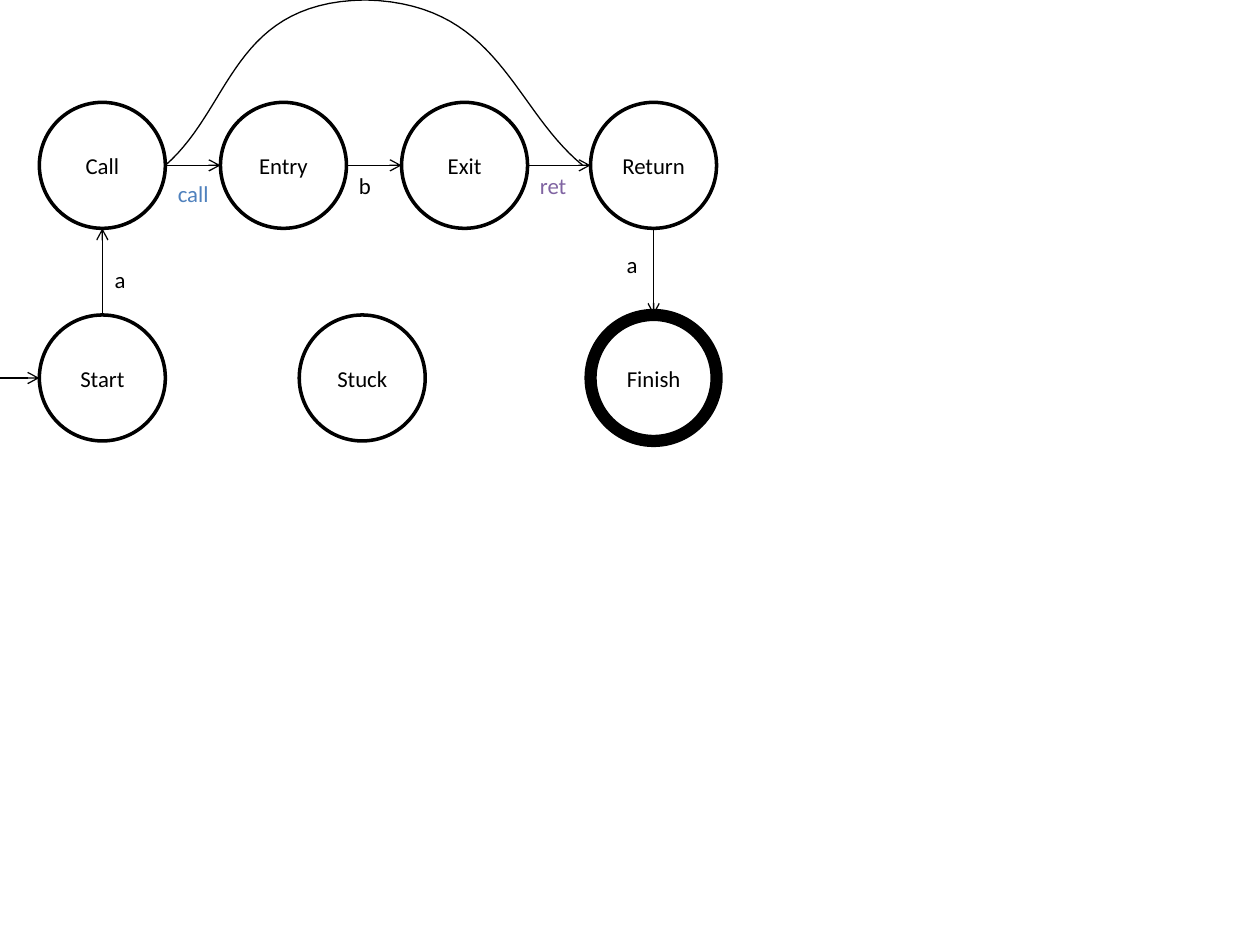
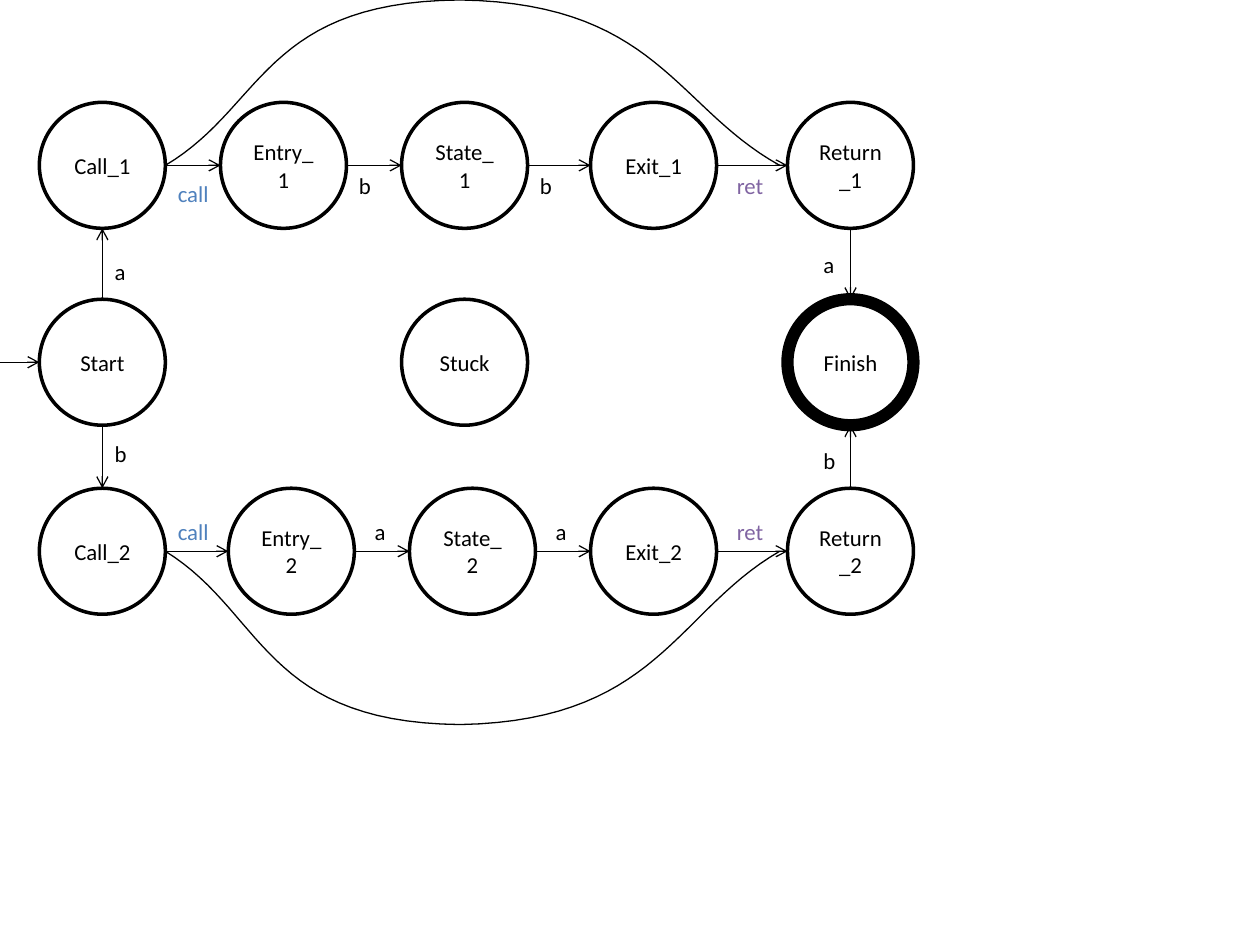
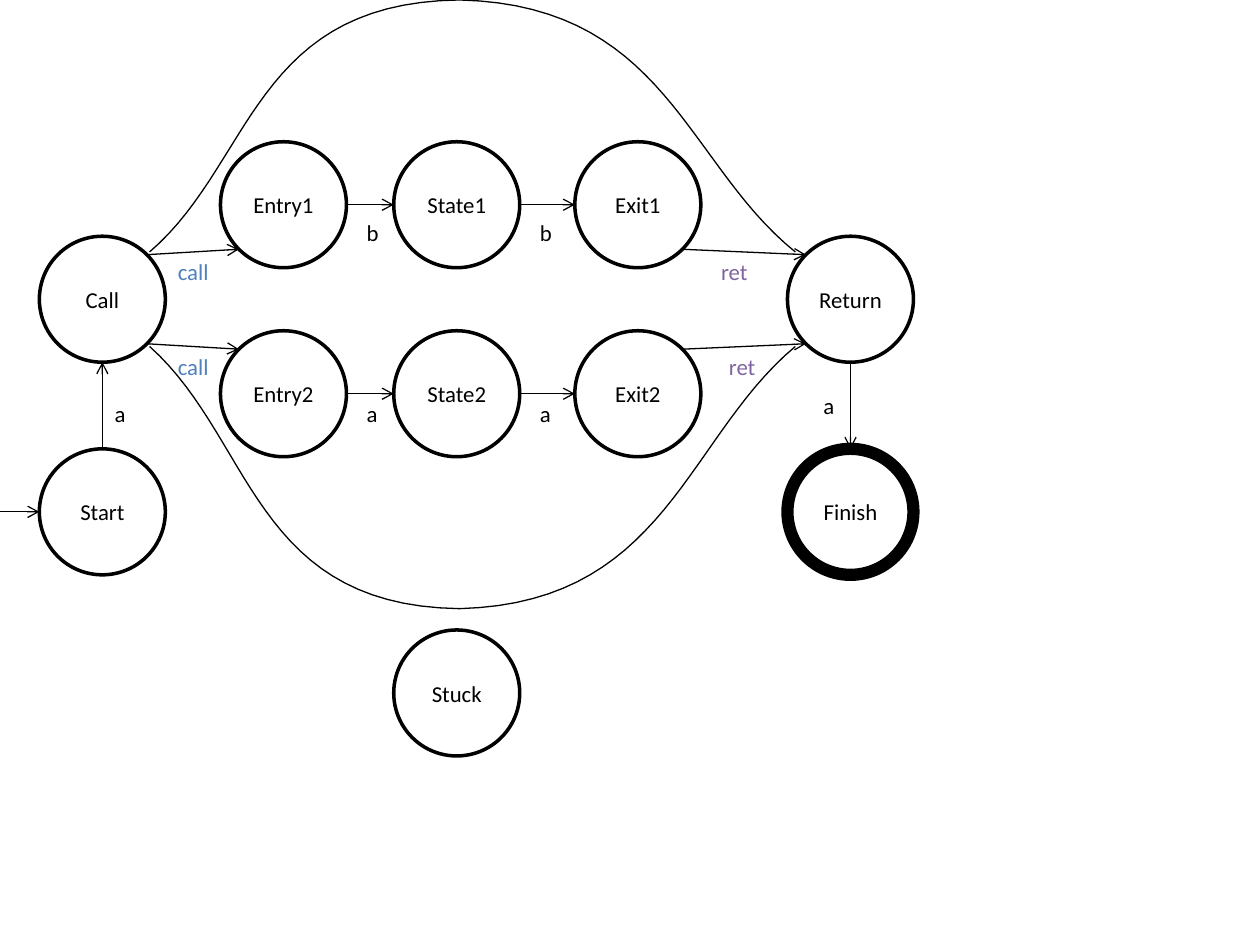
"""Build three slides of call-and-return state machines on a grid of 160 by 120 cells."""
from math import cos, pi, sin

from lxml.etree import SubElement
from pptx import Presentation
from pptx.dml.color import RGBColor
from pptx.enum.shapes import MSO_CONNECTOR, MSO_SHAPE
from pptx.enum.text import MSO_ANCHOR, MSO_AUTO_SIZE, PP_ALIGN
from pptx.oxml.ns import qn
from pptx.util import Inches, Pt

COLORS = {"ink": "000000", "paper": "FFFFFF", "call": "4F81BD", "ret": "8064A2"}
COLUMNS, ROWS = 160, 120
CELL = Inches(10) // COLUMNS
STATE_SIZE = 16
RADIUS = STATE_SIZE / 2
LABEL_WIDTHS = {"a": 4.6, "b": 4.8, "call": 7.2, "ret": 6.6}
LABEL_HEIGHT = 5.1
TOP, UPPER_LEFT, LEFT, LOWER_LEFT, BOTTOM, LOWER_RIGHT, RIGHT, UPPER_RIGHT = range(8)
BYPASS_HALVES = [
    [(0, 0), (0.16, 0.35), (0.16, 0.99), (0.48, 1)],
    [(0.48, 1), (0.8, 0.98), (0.83, 0.35), (1, 0)],
]
BYPASS_STEPS = 30

machines = [
    {
        "states": {
            "Start": (5, 40), "Call": (5, 13), "Entry": (28, 13), "Exit": (51, 13),
            "Return": (75, 13), "Finish": (75, 40), "Stuck": (38, 40),
        },
        "chains": [["Call", "Entry", "Exit", "Return"]],
        "steps": [("Start", TOP, "Call", BOTTOM), ("Return", BOTTOM, "Finish", TOP)],
        "bypasses": [(21, 74, 21, 0)],
        "labels": [("a", 13, 33), ("call", 21, 22), ("b", 44, 21), ("ret", 67, 21),
                   ("a", 78, 31)],
    },
    {
        "states": {
            "Start": (5, 38), "Call_1": (5, 13), "Entry_1": (28, 13), "State_1": (51, 13),
            "Exit_1": (75, 13), "Return_1": (100, 13), "Finish": (100, 38),
            "Stuck": (51, 38), "Call_2": (5, 62), "Entry_2": (29, 62),
            "State_2": (52, 62), "Exit_2": (75, 62), "Return_2": (100, 62),
        },
        "chains": [["Call_1", "Entry_1", "State_1", "Exit_1", "Return_1"],
                   ["Call_2", "Entry_2", "State_2", "Exit_2", "Return_2"]],
        "steps": [("Start", TOP, "Call_1", BOTTOM), ("Start", BOTTOM, "Call_2", TOP),
                  ("Return_1", BOTTOM, "Finish", TOP), ("Return_2", TOP, "Finish", BOTTOM)],
        "bypasses": [(21, 99, 21, 0), (21, 99, 70, 92)],
        "labels": [("a", 13, 32), ("call", 21, 22), ("b", 44, 21), ("b", 67, 21),
                   ("ret", 92, 21), ("a", 103, 31), ("b", 13, 55), ("call", 21, 65),
                   ("a", 46, 65), ("a", 69, 65), ("ret", 92, 65), ("b", 103, 56)],
    },
    {
        "states": {
            "Start": (5, 57), "Call": (5, 30), "Entry1": (28, 18), "State1": (50, 18),
            "Exit1": (73, 18), "Return": (100, 30), "Finish": (100, 57),
            "Stuck": (50, 80), "Entry2": (28, 42), "State2": (50, 42), "Exit2": (73, 42),
        },
        "chains": [["Entry1", "State1", "Exit1"], ["Entry2", "State2", "Exit2"]],
        "steps": [("Start", TOP, "Call", BOTTOM), ("Return", BOTTOM, "Finish", TOP),
                  ("Call", UPPER_RIGHT, "Entry1", LOWER_LEFT),
                  ("Call", LOWER_RIGHT, "Entry2", UPPER_LEFT),
                  ("Exit1", LOWER_RIGHT, "Return", UPPER_LEFT),
                  ("Exit2", UPPER_RIGHT, "Return", LOWER_LEFT)],
        "bypasses": [(19, 101, 32, 0), (19, 101, 44, 77.3)],
        "labels": [("a", 13, 50), ("call", 21, 32), ("b", 45, 27), ("b", 67, 27),
                   ("ret", 90, 32), ("a", 103, 49), ("call", 21, 44), ("a", 45, 50),
                   ("a", 67, 50), ("ret", 91, 44)],
    },
]


def write(shape, text, color="ink", align=PP_ALIGN.LEFT, anchor=MSO_ANCHOR.TOP, wrap=True):
    frame = shape.text_frame
    frame.word_wrap = wrap
    frame.auto_size = MSO_AUTO_SIZE.NONE if wrap else MSO_AUTO_SIZE.SHAPE_TO_FIT_TEXT
    frame.vertical_anchor = anchor
    paragraph = frame.paragraphs[0]
    paragraph.alignment = align
    run = paragraph.add_run()
    run.text = text
    run.font.name = "Calibri"
    run.font.size = Pt(13)
    run.font.color.rgb = RGBColor.from_string(COLORS[color])


def rim(corner, site):
    angle = site * pi / 4
    return (corner[0] + RADIUS * (1 - sin(angle)), corner[1] + RADIUS * (1 - cos(angle)))


deck = Presentation()
deck.slide_width, deck.slide_height = CELL * COLUMNS, CELL * ROWS
ink = RGBColor.from_string(COLORS["ink"])
paper = RGBColor.from_string(COLORS["paper"])

for machine in machines:
    slide = deck.slides.add_slide(deck.slide_layouts[6])
    states = machine["states"]

    for name, (column, row) in states.items():
        state = slide.shapes.add_shape(
            MSO_SHAPE.FLOWCHART_CONNECTOR, CELL * column, CELL * row,
            CELL * STATE_SIZE, CELL * STATE_SIZE)
        state.shadow.inherit = False
        state.fill.solid()
        state.fill.fore_color.rgb = paper
        state.line.color.rgb = ink
        state.line.width = Pt(7 if name == "Finish" else 2)
        write(state, name, align=PP_ALIGN.CENTER, anchor=MSO_ANCHOR.MIDDLE)

    entrance = rim(states["Start"], LEFT)
    transitions = [((0, entrance[1]), entrance)]
    for chain in machine["chains"]:
        for source, target in zip(chain, chain[1:]):
            transitions.append((rim(states[source], RIGHT), rim(states[target], LEFT)))
    for source, leaving, target, arriving in machine["steps"]:
        transitions.append((rim(states[source], leaving), rim(states[target], arriving)))

    for begin, end in transitions:
        transition = slide.shapes.add_connector(
            MSO_CONNECTOR.STRAIGHT, *(round(CELL * length) for length in begin + end))
        transition.line.color.rgb = ink
        transition.line.width = Pt(0.75)
        SubElement(transition.line._get_or_add_ln(), qn("a:tailEnd"), type="arrow")
        SubElement(transition._element.spPr, qn("a:effectLst"))

    for left, right, base, apex in machine["bypasses"]:
        points = []
        for half in BYPASS_HALVES:
            for step in range(BYPASS_STEPS + 1):
                t = step / BYPASS_STEPS
                weights = ((1 - t) ** 3, 3 * t * (1 - t) ** 2, 3 * t ** 2 * (1 - t), t ** 3)
                across = sum(w * x for w, (x, y) in zip(weights, half))
                rise = sum(w * y for w, (x, y) in zip(weights, half))
                points.append((CELL * (left + across * (right - left)),
                               CELL * (base + rise * (apex - base))))
        outline = slide.shapes.build_freeform(*points[0])
        outline.add_line_segments(points[1:], close=False)
        bypass = outline.convert_to_shape()
        bypass.shadow.inherit = False
        bypass.fill.background()
        bypass.line.color.rgb = ink
        bypass.line.width = Pt(0.75)

    for symbol, column, row in machine["labels"]:
        label = slide.shapes.add_textbox(
            CELL * column, CELL * row,
            round(CELL * LABEL_WIDTHS[symbol]), round(CELL * LABEL_HEIGHT))
        write(label, symbol, color=symbol if symbol in COLORS else "ink", wrap=False)

deck.save("out.pptx")
